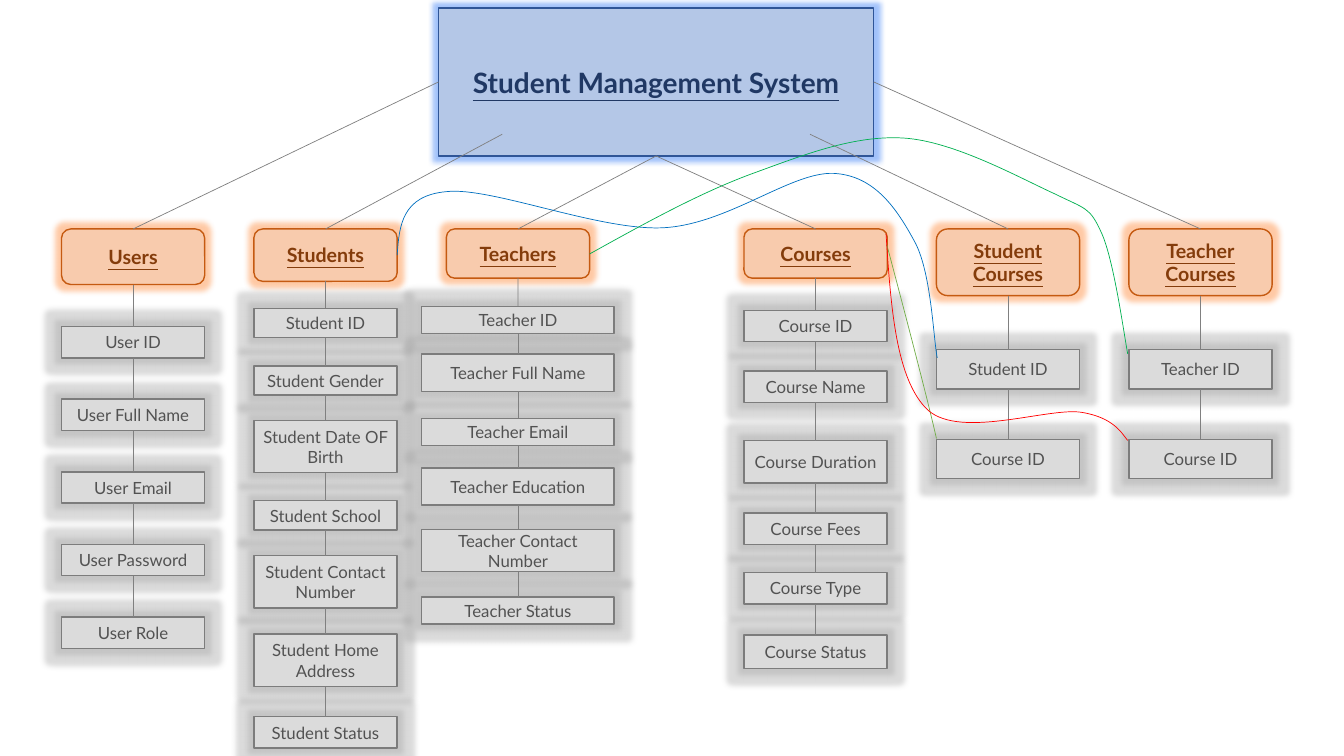
from dataclasses import dataclass
from math import cos, radians, sin

from lxml.etree import SubElement
from pptx import Presentation
from pptx.dml.color import RGBColor
from pptx.enum.shapes import MSO_CONNECTOR, MSO_SHAPE
from pptx.enum.text import MSO_ANCHOR, MSO_AUTO_SIZE, PP_ALIGN
from pptx.oxml.ns import qn
from pptx.util import Cm, Pt


@dataclass(frozen=True)
class Style:
    fill: str
    line: str
    text: str
    glow: str
    size: int
    strong: bool = False


@dataclass(frozen=True)
class Theme:
    font: str = "Lato"
    root: Style = Style("B4C7E7", "2F5597", "203864", "4472C4", 20, True)
    head: Style = Style("F8CBAD", "C55A11", "843C0B", "ED7D31", 14, True)
    field: Style = Style("DBDBDB", "7C7C7C", "525252", "A5A5A5", 12)
    link: str = "808080"
    blue: str = "0070C0"
    green: str = "00B050"
    olive: str = "70AD47"
    red: str = "FF0000"
    box_line: float = 1
    thin_line: float = 0.5
    glow_radius: int = 8


@dataclass(frozen=True)
class Entity:
    """A table of the system; fields are (name, top, height) in cm."""
    lines: tuple
    left: float
    head_height: float
    root_angle: int
    fields: tuple
    field_width: float = 3.61


THEME = Theme()
ROOT_LEFT, ROOT_TOP, ROOT_WIDTH, ROOT_HEIGHT = 11.05, 0.2, 10.97, 3.73
HEAD_TOP, HEAD_WIDTH = 5.77, 3.61
PITCH, FIRST_LEFT, SECOND_LEFT = 4.85, 1.55, 18.75
TOP, BOTTOM = 0, 2

USER_FIELDS = ("User ID", "User Full Name", "User Email", "User Password", "User Role")

ENTITIES = (
    Entity(("Users",), FIRST_LEFT, 1.4, 180, tuple(
        (name, 8.23 + 1.83 * row, 0.79) for row, name in enumerate(USER_FIELDS))),
    Entity(("Students",), FIRST_LEFT + PITCH, 1.32, 135, (
        ("Student ID", 7.77, 0.74),
        ("Student Gender", 9.22, 0.74),
        ("Student Date OF Birth", 10.59, 1.32),
        ("Student School", 12.62, 0.74),
        ("Student Contact Number", 14, 1.32),
        ("Student Home Address", 15.98, 1.32),
        ("Student Status", 18.06, 0.79))),
    Entity(("Teachers",), FIRST_LEFT + 2 * PITCH, 1.24, 90, (
        ("Teacher ID", 7.72, 0.69),
        ("Teacher Full Name", 8.92, 0.94),
        ("Teacher Email", 10.54, 0.69),
        ("Teacher Education", 11.79, 0.94),
        ("Teacher Contact Number", 13.34, 1.07),
        ("Teacher Status", 15.04, 0.69)), 4.85),
    Entity(("Courses",), SECOND_LEFT, 1.24, 90, (
        ("Course ID", 7.82, 0.79),
        ("Course Name", 9.35, 0.79),
        ("Course Duration", 11.1, 1.07),
        ("Course Fees", 12.93, 0.79),
        ("Course Type", 14.43, 0.79),
        ("Course Status", 16, 0.84))),
    Entity(("Student", "Courses"), SECOND_LEFT + PITCH, 1.68, 45, (
        ("Student ID", 8.81, 0.99), ("Course ID", 11.07, 0.99))),
    Entity(("Teacher", "Courses"), SECOND_LEFT + 2 * PITCH, 1.68, 0, (
        ("Teacher ID", 8.81, 0.99), ("Course ID", 11.07, 0.99))),
)

# Each curve: colour, start point, then three points per cubic segment.
RELATIONS = (
    (THEME.blue, (
        (10.01, 6.43),
        (10.06, 5.69), (10.13, 4.93), (11.25, 4.83),
        (12.37, 4.7), (15.11, 5.82), (16.71, 5.74),
        (18.34, 5.66), (19.94, 4.32), (21.01, 4.37),
        (22.05, 4.42), (22.61, 5.28), (23.04, 6.07),
        (23.47, 6.83), (23.52, 8.51), (23.62, 9.02))),
    (THEME.green, (
        (14.86, 6.4),
        (16.23, 5.64), (17.6, 4.88), (18.92, 4.39),
        (20.24, 3.91), (21.51, 3.4), (22.78, 3.48),
        (24.05, 3.56), (25.73, 4.5), (26.57, 4.88),
        (27.38, 5.28), (27.46, 5.21), (27.76, 5.87),
        (28.07, 6.55), (28.32, 8.38), (28.42, 8.92))),
    (THEME.olive, (
        (22.35, 6.17),
        (22.89, 8.2), (23.42, 10.24), (23.6, 11.05))),
    (THEME.red, (
        (22.33, 5.89),
        (22.45, 7.75), (22.58, 9.58), (23.39, 10.34),
        (24.23, 11.07), (26.42, 10.26), (27.25, 10.39),
        (28.07, 10.52), (28.27, 10.92), (28.42, 11.1))),
)


def color(code):
    return RGBColor.from_string(code)


def set_line(shape, code, width):
    shape.line.color.rgb = color(code)
    shape.line.width = Pt(width)


def add_glow(shape, code):
    shape.shadow.inherit = False
    effects = shape._element.spPr.find(qn("a:effectLst"))
    glow = SubElement(effects, qn("a:glow"), rad=str(Pt(THEME.glow_radius)))
    tint = SubElement(glow, qn("a:srgbClr"), val=code)
    SubElement(tint, qn("a:satMod"), val="175000")
    SubElement(tint, qn("a:alpha"), val="40000")


def dress(shape, style, lines):
    """Apply fill, outline, glow and centred text."""
    shape.fill.solid()
    shape.fill.fore_color.rgb = color(style.fill)
    set_line(shape, style.line, THEME.box_line)
    add_glow(shape, style.glow)
    frame = shape.text_frame
    frame.word_wrap = True
    frame.auto_size = MSO_AUTO_SIZE.NONE
    frame.vertical_anchor = MSO_ANCHOR.MIDDLE
    frame.margin_left = frame.margin_right = Cm(0.22)
    frame.margin_top = frame.margin_bottom = 0
    for index, line in enumerate(lines):
        para = frame.add_paragraph() if index else frame.paragraphs[0]
        para.alignment = PP_ALIGN.CENTER
        para.line_spacing = 1.0
        para.space_before = Pt(0)
        span = para.add_run()
        span.text = line
        span.font.name = THEME.font
        span.font.size = Pt(style.size)
        span.font.bold = span.font.underline = style.strong
        span.font.color.rgb = color(style.text)


def place_title(page):
    """Turn the title placeholder into the root ellipse."""
    title = page.shapes.title
    title.left, title.top = Cm(ROOT_LEFT), Cm(ROOT_TOP)
    title.width, title.height = Cm(ROOT_WIDTH), Cm(ROOT_HEIGHT)
    geometry = SubElement(title._element.spPr, qn("a:prstGeom"), prst="ellipse")
    SubElement(geometry, qn("a:avLst"))
    dress(title, THEME.root, ["Student Management System"])


def add_box(page, kind, left, top, width, height, style, lines):
    box = page.shapes.add_shape(kind, Cm(left), Cm(top), Cm(width), Cm(height))
    dress(box, style, lines)
    return box


def add_link(page, box, x=0, y=0, upper=None):
    """Link the top of a box to an upper box, or to a point on the root."""
    link = page.shapes.add_connector(
        MSO_CONNECTOR.STRAIGHT, Cm(x), Cm(y), box.left, box.top)
    if upper is not None:
        link.begin_connect(upper, BOTTOM)
    link.end_connect(box, TOP)
    set_line(link, THEME.link, THEME.thin_line)
    SubElement(link._element.spPr, qn("a:effectLst"))


def add_entity(page, entity):
    head = add_box(page, MSO_SHAPE.ROUNDED_RECTANGLE, entity.left, HEAD_TOP,
                   HEAD_WIDTH, entity.head_height, THEME.head, entity.lines)
    angle = radians(entity.root_angle)
    add_link(page, head,
             ROOT_LEFT + ROOT_WIDTH / 2 * (1 + cos(angle)),
             ROOT_TOP + ROOT_HEIGHT / 2 * (1 + sin(angle)))
    field_left = entity.left + (HEAD_WIDTH - entity.field_width) / 2
    upper = head
    for name, top, height in entity.fields:
        box = add_box(page, MSO_SHAPE.RECTANGLE, field_left, top,
                      entity.field_width, height, THEME.field, [name])
        add_link(page, box, upper=upper)
        upper = box


def add_curve(page, code, points):
    """Draw an open outline whose points are grouped into cubic segments."""
    start, *rest = [(Cm(x), Cm(y)) for x, y in points]
    builder = page.shapes.build_freeform(*start)
    builder.add_line_segments(rest, close=False)
    curve = builder.convert_to_shape()
    curve.fill.background()
    set_line(curve, code, THEME.thin_line)
    curve.shadow.inherit = False
    outline = next(curve._element.iter(qn("a:path")))
    steps = outline.findall(qn("a:lnTo"))
    for first in range(0, len(steps), 3):
        cubic = SubElement(outline, qn("a:cubicBezTo"))
        for step in steps[first:first + 3]:
            cubic.append(step[0])
            outline.remove(step)


def main():
    deck = Presentation()
    deck.slide_width, deck.slide_height = Cm(33.87), Cm(19.05)
    page = deck.slides.add_slide(deck.slide_layouts[5])
    place_title(page)
    for entity in ENTITIES:
        add_entity(page, entity)
    for code, points in RELATIONS:
        add_curve(page, code, points)
    deck.save("out.pptx")


if __name__ == "__main__":
    main()
